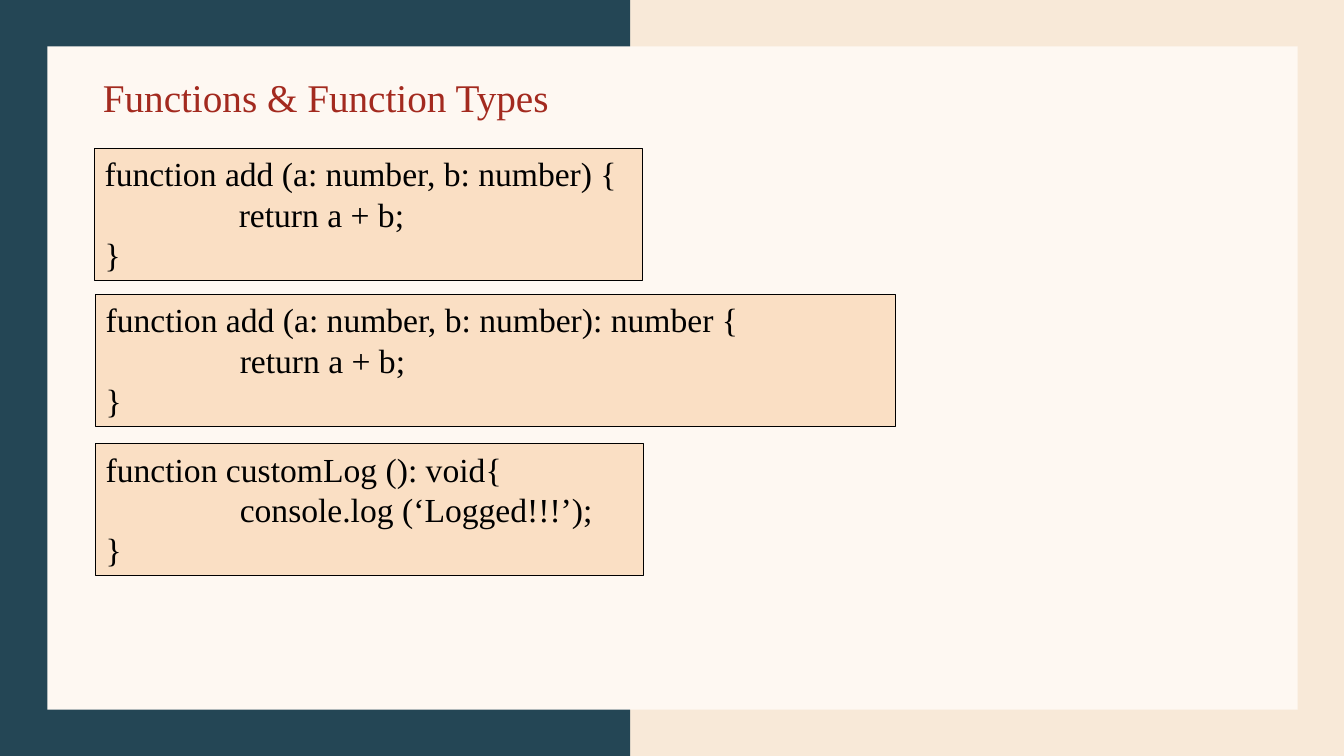
from pptx import Presentation
from pptx.dml.color import RGBColor
from pptx.enum.shapes import MSO_SHAPE
from pptx.enum.text import MSO_ANCHOR, PP_ALIGN
from pptx.util import Inches, Pt

CREAM = RGBColor(0xF8, 0xE9, 0xD8)
TEAL = RGBColor(0x24, 0x46, 0x55)
IVORY = RGBColor(0xFE, 0xF8, 0xF2)
PEACH = RGBColor(0xFA, 0xDF, 0xC4)
RED = RGBColor(0xA3, 0x2A, 0x1F)
BLACK = RGBColor(0, 0, 0)
FONT = "Times New Roman"

CODE_BOXES = [
    (0.94, 1.47, 5.43, "function add (a: number, b: number) {", "return a + b;"),
    (0.95, 2.92, 7.93, "function add (a: number, b: number): number {", "return a + b;"),
    (0.95, 4.4, 5.43, "function customLog (): void{", "console.log (‘Logged!!!’);"),
]


def add_panel(page, left, top, width, height, color):
    panel = page.shapes.add_shape(
        MSO_SHAPE.RECTANGLE, Inches(left), Inches(top), Inches(width), Inches(height))
    panel.shadow.inherit = False
    panel.fill.solid()
    panel.fill.fore_color.rgb = color
    panel.line.fill.background()
    return panel


def style_paragraph(para, size, color):
    para.alignment = PP_ALIGN.LEFT
    para.font.name = FONT
    para.font.size = Pt(size)
    para.font.color.rgb = color


def place_title(page, text):
    title = page.shapes.title
    title.left, title.top = Inches(0.92), Inches(0.68)
    title.width, title.height = Inches(5.12), Inches(0.57)
    title.text_frame.text = text
    title.text_frame.vertical_anchor = MSO_ANCHOR.TOP
    style_paragraph(title.text_frame.paragraphs[0], 28, RED)
    title.element.getparent().append(title.element)


def add_code_box(page, left, top, width, signature, body):
    box = add_panel(page, left, top, width, 1.31, PEACH)
    box.line.color.rgb = BLACK
    box.line.width = Pt(0.75)
    frame = box.text_frame
    frame.word_wrap = True
    frame.vertical_anchor = MSO_ANCHOR.TOP
    frame.text = "\n".join([signature, body, "}"])
    for para in frame.paragraphs:
        style_paragraph(para, 24, BLACK)
    body_properties = frame.paragraphs[1]._p.get_or_add_pPr()
    body_properties.set("marL", str(Inches(1.33)))
    body_properties.set("indent", "0")


def main():
    deck = Presentation()
    deck.slide_width, deck.slide_height = Inches(13.33), Inches(7.5)
    page = deck.slides.add_slide(deck.slide_layouts.get_by_name("Title Only"))
    page.background.fill.solid()
    page.background.fill.fore_color.rgb = CREAM
    add_panel(page, 0, 0, 6.25, 7.5, TEAL)
    add_panel(page, 0.47, 0.46, 12.4, 6.58, IVORY)
    place_title(page, "Functions & Function Types")
    for code_box in CODE_BOXES:
        add_code_box(page, *code_box)
    deck.save("out.pptx")


if __name__ == "__main__":
    main()
